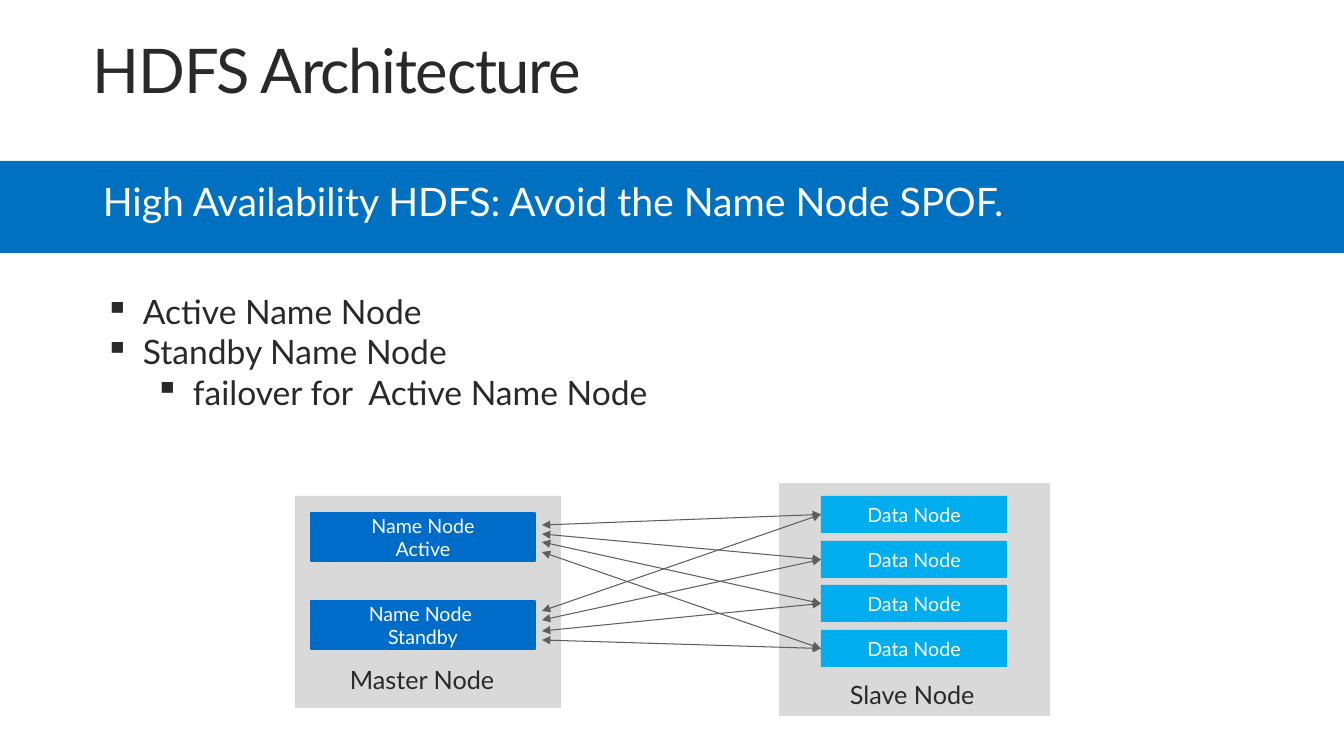
from lxml.etree import SubElement
from pptx import Presentation
from pptx.dml.color import RGBColor
from pptx.enum.shapes import MSO_CONNECTOR, MSO_SHAPE
from pptx.enum.text import MSO_ANCHOR, PP_ALIGN
from pptx.oxml.ns import qn
from pptx.util import Pt

EMU_PER_PX = 914400 / 100.8
FONT = "Lato"
DARK, WHITE, GREY, ARROW = "292929", "FFFFFF", "D9D9D9", "5E5E5E"
BANNER, NAME_BLUE, DATA_BLUE = "0070C0", "006CC9", "00AEEF"

TITLE = "HDFS Architecture"
SUBTITLE = "High Availability HDFS: Avoid the Name Node SPOF."
BULLETS = [
    (0, "Active Name Node"),
    (0, "Standby Name Node"),
    (1, "failover for  Active Name Node"),
]
PANELS = [(779, 483, 271, 233), (295, 496, 266, 212)]
PANEL_LABELS = [("Master Node", 340, 659, 166), ("Slave Node", 840, 674, 157)]
# Lines of text, top of the box, heights where its arrows end
NAME_NODES = [
    (["Name Node", "Active"], 513, [525, 534, 542, 552]),
    (["Name Node ", "Standby"], 601, [611, 620, 631, 640]),
]
NAME_LEFT, NAME_WIDTH, NAME_HEIGHT = 311, 224, 48
DATA_LEFT, DATA_WIDTH, DATA_HEIGHT = 821, 186, 37
DATA_FIRST_TOP, DATA_LAST_TOP, DATA_COUNT = 496, 630, 4
ARROW_LEFT = 542


def px(length):
    return round(length * EMU_PER_PX)


def color(hex_string):
    return RGBColor.from_string(hex_string)


def add_run(paragraph, text, size, hex_color):
    run = paragraph.add_run()
    run.text = text
    run.font.name = FONT
    run.font.size = Pt(size)
    run.font.color.rgb = color(hex_color)
    return run


def add_box(shapes, box, fill, lines=(), line_width=0):
    shape = shapes.add_shape(MSO_SHAPE.RECTANGLE, *map(px, box))
    shape.shadow.inherit = False
    shape.fill.solid()
    shape.fill.fore_color.rgb = color(fill)
    if line_width:
        shape.line.color.rgb = color(fill)
        shape.line.width = Pt(line_width)
    else:
        shape.line.fill.background()
    frame = shape.text_frame
    frame.vertical_anchor = MSO_ANCHOR.MIDDLE
    for index, text in enumerate(lines):
        paragraph = frame.add_paragraph() if index else frame.paragraphs[0]
        paragraph.alignment = PP_ALIGN.CENTER
        add_run(paragraph, text, 14, WHITE)


def add_text_frame(shapes, box, anchor=MSO_ANCHOR.TOP, wrap=True):
    frame = shapes.add_textbox(*map(px, box)).text_frame
    frame.word_wrap = wrap
    frame.vertical_anchor = anchor
    return frame


def add_double_arrow(shapes, start, end):
    connector = shapes.add_connector(
        MSO_CONNECTOR.STRAIGHT, *map(px, start + end))
    connector.line.color.rgb = color(ARROW)
    connector.line.width = Pt(0.75)
    line = connector.line._get_or_add_ln()
    for tag in ("a:headEnd", "a:tailEnd"):
        SubElement(line, qn(tag), type="triangle")
    SubElement(connector._element.spPr, qn("a:effectLst"))


def add_title(shapes):
    frame = add_text_frame(shapes, (93, 40, 1230, 69))
    frame.margin_left = frame.margin_right = 0
    frame.margin_top = frame.margin_bottom = 0
    paragraph = frame.paragraphs[0]
    paragraph.line_spacing = 0.9
    run = add_run(paragraph, TITLE, 44, DARK)
    run.font._element.set("spc", "-100")


def add_diagram(shapes):
    for panel in PANELS:
        add_box(shapes, panel, GREY)
    pitch = (DATA_LAST_TOP - DATA_FIRST_TOP) / (DATA_COUNT - 1)
    data_tops = [round(DATA_FIRST_TOP + i * pitch) for i in range(DATA_COUNT)]
    for top in data_tops:
        add_box(shapes, (DATA_LEFT, top, DATA_WIDTH, DATA_HEIGHT),
                DATA_BLUE, ["Data Node"])
    for lines, top, arrow_ends in NAME_NODES:
        add_box(shapes, (NAME_LEFT, top, NAME_WIDTH, NAME_HEIGHT),
                NAME_BLUE, lines, 2)
        for data_top, arrow_end in zip(data_tops, arrow_ends):
            add_double_arrow(shapes, (DATA_LEFT, data_top + DATA_HEIGHT / 2),
                             (ARROW_LEFT, arrow_end))
    for text, left, top, width in PANEL_LABELS:
        frame = add_text_frame(shapes, (left, top, width, 40), wrap=False)
        add_run(frame.paragraphs[0], text, 18, DARK)


def add_banner(shapes):
    add_box(shapes, (0, 161, 1344, 92), BANNER)
    frame = add_text_frame(shapes, (93, 158, 1172, 92), MSO_ANCHOR.MIDDLE)
    paragraph = frame.paragraphs[0]
    paragraph.line_spacing = 0.9
    add_run(paragraph, SUBTITLE, 28, WHITE)


def add_bullets(shapes):
    frame = add_text_frame(shapes, (0, 250, 1344, 203), MSO_ANCHOR.MIDDLE)
    for index, (level, text) in enumerate(BULLETS):
        paragraph = frame.add_paragraph() if index else frame.paragraphs[0]
        paragraph.level = level
        properties = paragraph._element.get_or_add_pPr()
        properties.set("marL", str(px(133 + 50 * level)))
        properties.set("indent", str(px(-38)))
        SubElement(properties, qn("a:buChar"), char="▪")
        add_run(paragraph, text, 24, DARK)


def main():
    presentation = Presentation()
    presentation.slide_width, presentation.slide_height = px(1344), px(756)
    slide = presentation.slides.add_slide(presentation.slide_layouts[6])
    add_title(slide.shapes)
    add_diagram(slide.shapes.add_group_shape().shapes)
    add_banner(slide.shapes.add_group_shape().shapes)
    add_bullets(slide.shapes)
    presentation.save("out.pptx")


if __name__ == "__main__":
    main()
